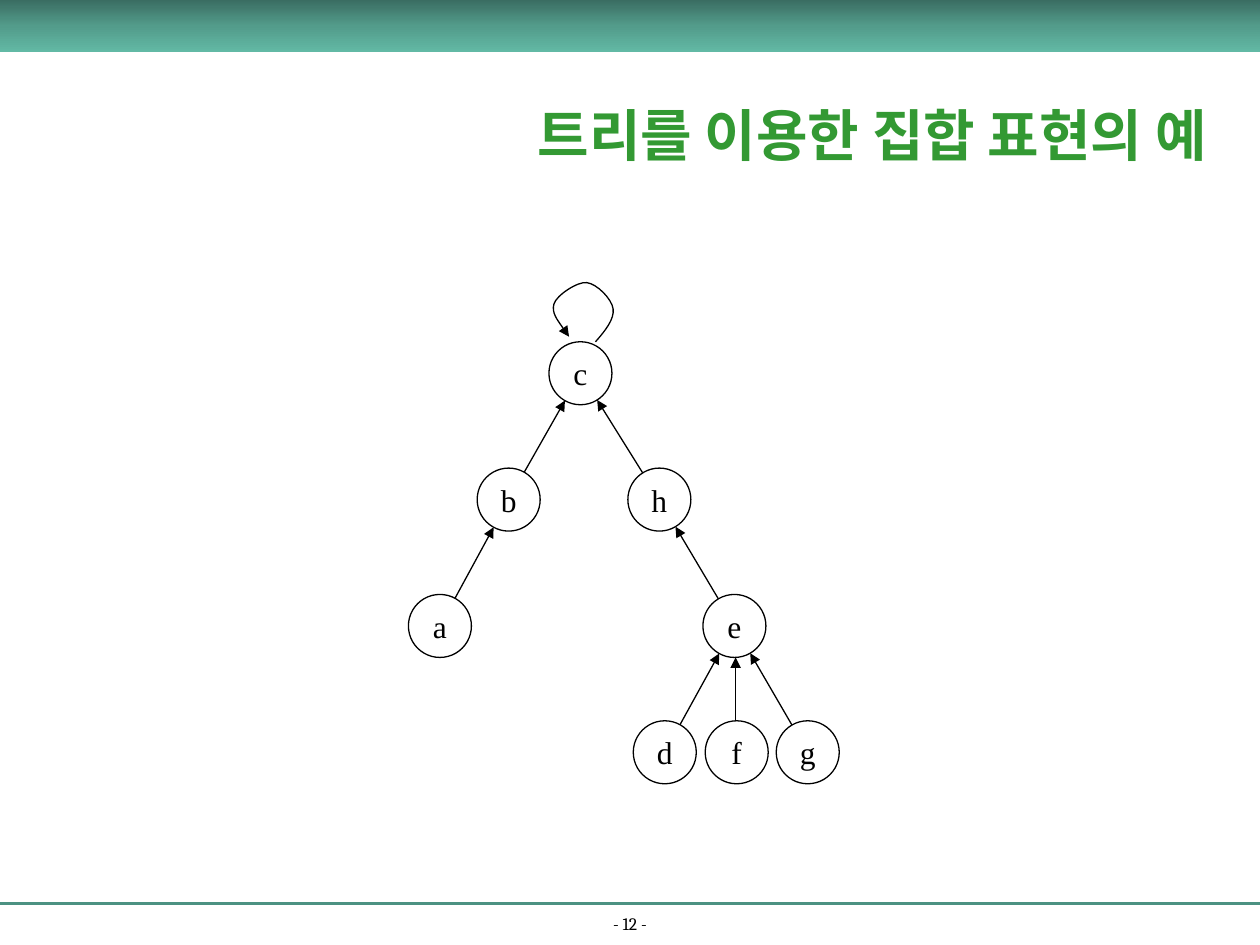
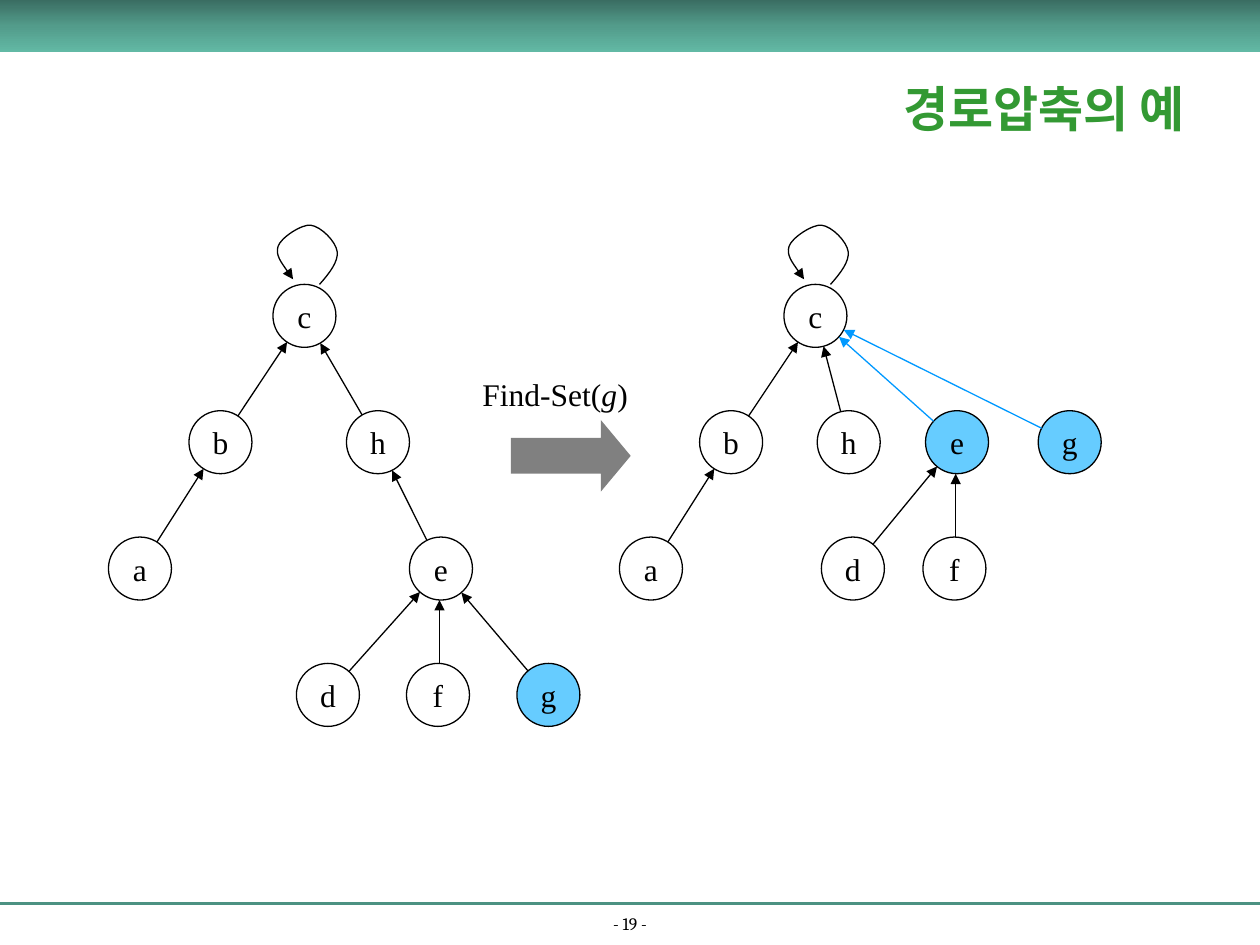
"""Two slides on disjoint sets drawn as trees, before and after path compression."""
from copy import deepcopy
from math import hypot

from pptx import Presentation
from pptx.dml.color import RGBColor
from pptx.enum.shapes import MSO_CONNECTOR, MSO_SHAPE
from pptx.enum.text import MSO_ANCHOR, PP_ALIGN
from pptx.oxml.ns import qn
from pptx.oxml.xmlchemy import OxmlElement
from pptx.util import Pt

STRAIGHT = MSO_CONNECTOR.STRAIGHT
OVAL, BAR, ARROW = MSO_SHAPE.OVAL, MSO_SHAPE.RECTANGLE, MSO_SHAPE.RIGHT_ARROW
CENTER, LEFT = PP_ALIGN.CENTER, PP_ALIGN.LEFT
MIDDLE, BOTTOM, TOP = MSO_ANCHOR.MIDDLE, MSO_ANCHOR.BOTTOM, MSO_ANCHOR.TOP

COLORS = {
    "text": "000000", "title": "339933", "rule": "4C9282", "step": "808080",
    "path_node": "66CCFF", "path_edge": "0099FF",
    "band_top": "3A6D62", "band_middle": "539C8B", "band_bottom": "62B9A5",
}
BAND_STOPS = ((0, "band_top"), (0.5, "band_middle"), (1, "band_bottom"))
HEADING_FONT, NODE_FONT = "Cambria", "Times New Roman"
WIDTH, HEIGHT = 720, 540
RADIUS = 18
LEVEL_GAP = 72.2

# Start point, then three points per curve, measured from the root's centre.
ROOT_LOOP = (
    (8.6, -18), (14.4, -24.5), (19.4, -31), (18.7, -36.7),
    (18, -42.5), (9.4, -51.1), (3.6, -51.8),
    (-1.4, -52.6), (-13.7, -44.6), (-15.1, -39.6),
    (-16.6, -34.6), (-11.5, -28.1), (-6.5, -20.9),
)

# Each tree maps a node to its centre x, level and parent.
SET_TREE = {
    "c": (331.7, 0, None), "b": (290.7, 1, "c"), "h": (376.8, 1, "c"),
    "a": (251.4, 2, "b"), "e": (419.7, 2, "h"),
    "d": (379.9, 3, "e"), "f": (421, 3, "e"), "g": (461.6, 3, "e"),
}
BEFORE_TREE = {
    "c": (174, 0, None), "b": (126, 1, "c"), "h": (216, 1, "c"),
    "a": (80, 2, "b"), "e": (252, 2, "h"),
    "d": (187.4, 3, "e"), "f": (250.3, 3, "e"), "g": (313.4, 3, "e"),
}
AFTER_TREE = {
    "c": (466, 0, None), "b": (417.8, 1, "c"), "h": (485, 1, "c"),
    "e": (546.9, 1, "c"), "g": (611.3, 1, "c"),
    "a": (372, 2, "b"), "d": (487.4, 2, "e"), "f": (545.4, 2, "e"),
}


def rgb(name):
    """Return a named colour."""
    return RGBColor.from_string(COLORS[name])


def write_text(shape, *runs, font=NODE_FONT, size=18, color="text", bold=False,
               italic=(), align=CENTER, anchor=MIDDLE, wrap=True, insets=(7.2, 3.6)):
    """Write runs as one paragraph; italic lists the indexes of slanted runs."""
    frame = shape.text_frame
    frame.word_wrap = wrap
    frame.vertical_anchor = anchor
    frame.margin_left = frame.margin_right = Pt(insets[0])
    frame.margin_top = frame.margin_bottom = Pt(insets[1])
    paragraph = frame.paragraphs[0]
    paragraph.alignment = align
    for index, words in enumerate(runs):
        run = paragraph.add_run()
        run.text = words
        run.font.name = font
        run.font.size = Pt(size)
        run.font.bold = bold
        run.font.italic = index in italic
        run.font.color.rgb = rgb(color)


def style_line(shape, color="text", width=0.75, arrow=False):
    """Colour a line and, on request, give its end a triangle."""
    shape.line.color.rgb = rgb(color)
    shape.line.width = Pt(width)
    if arrow:
        tip = OxmlElement("a:tailEnd")
        tip.set("type", "triangle")
        shape.line._get_or_add_ln().append(tip)


def add_line(slide, start, end, **style):
    """Draw a straight line between two points, without a shadow."""
    line = slide.shapes.add_connector(STRAIGHT, *map(Pt, (*start, *end)))
    style_line(line, **style)
    line._element.spPr.append(OxmlElement("a:effectLst"))


def add_shape(slide, kind, box, fill=None):
    """Add a flat preset shape without an outline."""
    shape = slide.shapes.add_shape(kind, *map(Pt, box))
    shape.shadow.inherit = False
    shape.line.fill.background()
    if fill:
        shape.fill.solid()
        shape.fill.fore_color.rgb = rgb(fill)
    else:
        shape.fill.background()
    return shape


def add_textbox(slide, box, *runs, **text_format):
    """Add a text box."""
    write_text(slide.shapes.add_textbox(*map(Pt, box)), *runs, **text_format)


def add_band(slide):
    """Draw the shaded band along the top edge."""
    band = add_shape(slide, BAR, (0, 0, WIDTH, 30))
    band.fill.gradient()
    band.fill.gradient_angle = 270
    stops = band._element.spPr.find(qn("a:gradFill")).find(qn("a:gsLst"))
    stops.append(deepcopy(stops[0]))
    for stop, (position, color) in zip(band.fill.gradient_stops, BAND_STOPS):
        stop.position = position
        stop.color.rgb = rgb(color)


def add_slide(deck, title, title_box, title_size, page):
    """Start a slide with its title, band, footer rule and page number."""
    slide = deck.slides.add_slide(deck.slide_layouts[5])
    add_band(slide)
    add_line(slide, (0, 516.2), (WIDTH, 516.2), color="rule", width=1.5)
    add_textbox(slide, (0, 521.3, WIDTH, 15.8), f"- {page} -",
                font=HEADING_FONT, size=10, anchor=BOTTOM)
    heading = slide.shapes.title
    heading.left, heading.top, heading.width, heading.height = map(Pt, title_box)
    write_text(heading, title, font=HEADING_FONT, size=title_size,
               color="title", bold=True)
    return slide


def add_node(slide, label, center, fill=None):
    """Draw a labelled circle around a centre."""
    x, y = center
    node = add_shape(slide, OVAL, (x - RADIUS, y - RADIUS, 2 * RADIUS, 2 * RADIUS), fill)
    style_line(node)
    write_text(node, label, wrap=False, insets=(0, 0))


def add_edge(slide, child, parent, color):
    """Point an arrow from the rim of a child to the rim of its parent."""
    (x1, y1), (x2, y2) = child, parent
    if abs(x2 - x1) < 3:
        x1 = x2 = (x1 + x2) / 2
    distance = hypot(x2 - x1, y2 - y1)
    dx, dy = RADIUS * (x2 - x1) / distance, RADIUS * (y2 - y1) / distance
    add_line(slide, (x1 + dx, y1 + dy), (x2 - dx, y2 - dy), color=color, arrow=True)


def add_root_loop(slide, center):
    """Draw the curved arrow from the root back to itself."""
    points = [(Pt(center[0] + x), Pt(center[1] + y)) for x, y in ROOT_LOOP]
    builder = slide.shapes.build_freeform(*points[0])
    builder.add_line_segments(points[1:], close=False)
    loop = builder.convert_to_shape()
    loop.shadow.inherit = False
    loop.fill.background()
    style_line(loop, arrow=True)
    segments = list(loop._element.iter(qn("a:lnTo")))
    for first in range(0, len(segments), 3):
        curve = OxmlElement("a:cubicBezTo")
        segments[first].addprevious(curve)
        for segment in segments[first:first + 3]:
            curve.append(segment[0])
            segment.getparent().remove(segment)


def add_tree(slide, tree, root_y, path_nodes="", path_edges=""):
    """Draw a tree whose children point at parents, with the find path coloured."""
    centers = {label: (x, root_y + LEVEL_GAP * level)
               for label, (x, level, _) in tree.items()}
    for label, (_, _, parent) in tree.items():
        add_node(slide, label, centers[label],
                 "path_node" if label in path_nodes else None)
        if parent is None:
            add_root_loop(slide, centers[label])
    for label, (_, _, parent) in tree.items():
        if parent:
            add_edge(slide, centers[label], centers[parent],
                     "path_edge" if label in path_edges else "text")


def add_find_step(slide):
    """Draw the block arrow and call that lead from one tree to the next."""
    step = add_shape(slide, ARROW, (292, 240, 68.4, 41), "step")
    step.adjustments[0], step.adjustments[1] = 0.5, 0.417
    add_textbox(slide, (268.6, 211, 97.2, 28.8), "Find-Set(", "g", ")",
                italic=(1,), align=LEFT, anchor=TOP, wrap=False)


def main():
    """Build both slides and save the deck."""
    deck = Presentation()
    deck.slide_width, deck.slide_height = Pt(WIDTH), Pt(HEIGHT)

    example = add_slide(deck, "트리를 이용한 집합 표현의 예",
                        (277.2, 38.2, 442.8, 76.3), 32, 12)
    add_tree(example, SET_TREE, 213.3)

    compression = add_slide(deck, "경로압축의 예", (473, 31, 247, 61.2), 28, 19)
    add_tree(compression, BEFORE_TREE, 180.5, path_nodes="g")
    add_find_step(compression)
    add_tree(compression, AFTER_TREE, 180.5, path_nodes="eg", path_edges="eg")

    deck.save("out.pptx")


main()
